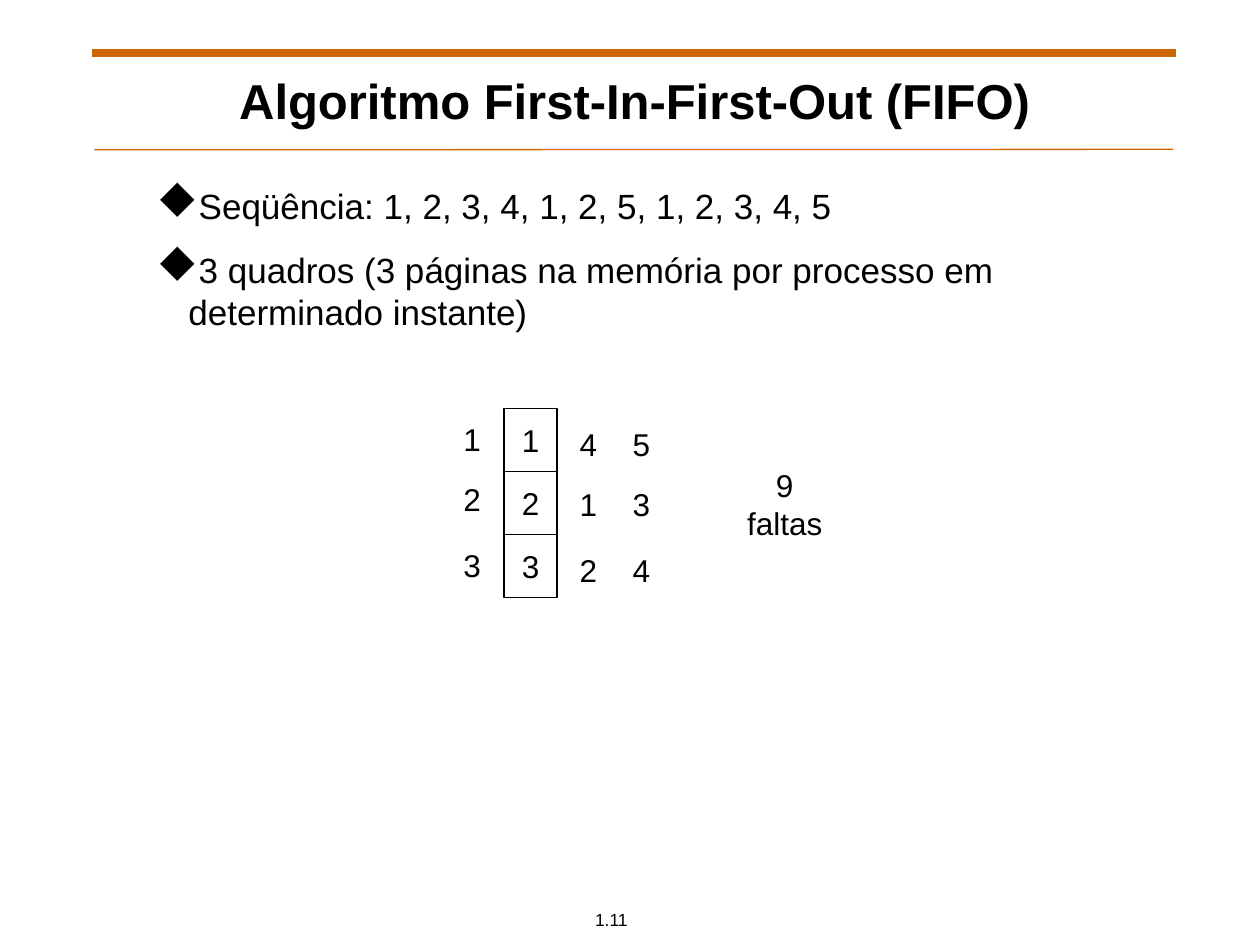
from dataclasses import dataclass

from lxml import etree
from pptx import Presentation
from pptx.dml.color import RGBColor
from pptx.enum.shapes import MSO_CONNECTOR, MSO_SHAPE
from pptx.enum.text import MSO_ANCHOR, MSO_AUTO_SIZE, PP_ALIGN
from pptx.oxml.ns import qn
from pptx.util import Cm, Pt

STRAIGHT = MSO_CONNECTOR.STRAIGHT
RECTANGLE = MSO_SHAPE.RECTANGLE
TOP, MIDDLE = MSO_ANCHOR.TOP, MSO_ANCHOR.MIDDLE
FIXED, GROW = MSO_AUTO_SIZE.NONE, MSO_AUTO_SIZE.SHAPE_TO_FIT_TEXT
LEFT, CENTER = PP_ALIGN.LEFT, PP_ALIGN.CENTER


@dataclass(frozen=True)
class Theme:
    font: str = "Arial"
    bullet_font: str = "Wingdings"
    ink: RGBColor = RGBColor(0, 0, 0)
    paper: RGBColor = RGBColor(255, 255, 255)
    accent: RGBColor = RGBColor(0xCC, 0x66, 0x00)
    title: int = 28
    body: int = 20
    label: int = 18
    footer: int = 10
    outline: float = 0.75


@dataclass(frozen=True)
class Box:
    left: float
    top: float
    width: float
    height: float


@dataclass(frozen=True)
class Rule:
    left: float
    right: float
    start: float
    end: float
    weight: float


@dataclass(frozen=True)
class Label:
    text: str
    box: Box
    size: int
    bold: bool = False
    wrap: bool = False


THEME = Theme()
RULES = (Rule(1.85, 23.7, 1.06, 1.06, 4.5), Rule(1.9, 23.65, 3.02, 3.01, 0.75))
BULLETS = (
    "Seqüência: 1, 2, 3, 4, 1, 2, 5, 1, 2, 3, 4, 5",
    "3 quadros (3 páginas na memória por processo em determinado instante)",
)
BODY_BOX = Box(2.91, 3.6, 19.53, 11.43)
FRAMES = "123"
FRAME_BOX = Box(10.16, 8.23, 1.07, 1.27)
ROW_TOPS = (8.33, 9.55, 10.87)
COLUMNS = ((9.09, 0, "123"), (11.43, 0.1, "412"), (12.5, 0.1, "534"))
LABELS = (
    Label("Algoritmo First-In-First-Out (FIFO)", Box(3.23, 1.37, 19.13, 1.27),
          THEME.title, bold=True, wrap=True),
    Label("9 faltas", Box(14.55, 9.65, 2.54, 1.02), THEME.label),
    Label("1.11", Box(11.13, 18.19, 2.39, 0.69), THEME.footer),
)


def apply_format(target, values: dict) -> None:
    """Set each named attribute on the target."""
    for name, value in values.items():
        setattr(target, name, value)


def lengths(box: Box) -> tuple:
    """Return the position and size of a box as lengths."""
    return Cm(box.left), Cm(box.top), Cm(box.width), Cm(box.height)


def format_paragraph(paragraph, text: str, size: int, bold: bool = False,
                     alignment=CENTER) -> None:
    """Write styled text into a paragraph."""
    apply_format(paragraph, {"text": text, "alignment": alignment})
    apply_format(paragraph.font, {"name": THEME.font, "size": Pt(size), "bold": bold})
    paragraph.font.color.rgb = THEME.ink


def draw_rule(slide, rule: Rule) -> None:
    """Draw a heading rule."""
    line = slide.shapes.add_connector(
        STRAIGHT, Cm(rule.left), Cm(rule.start), Cm(rule.right), Cm(rule.end))
    line.line.color.rgb = THEME.accent
    line.line.width = Pt(rule.weight)
    etree.SubElement(line._element.spPr, qn("a:effectLst"))


def draw_label(slide, label: Label) -> None:
    """Draw one centred piece of text."""
    frame = slide.shapes.add_textbox(*lengths(label.box)).text_frame
    apply_format(frame, {
        "word_wrap": label.wrap,
        "auto_size": FIXED if label.wrap else GROW,
        "vertical_anchor": MIDDLE,
    })
    format_paragraph(frame.paragraphs[0], label.text, label.size, label.bold)


def draw_frame(slide, text: str, box: Box) -> None:
    """Draw one outlined memory frame."""
    shape = slide.shapes.add_shape(RECTANGLE, *lengths(box))
    shape.shadow.inherit = False
    shape.fill.solid()
    shape.fill.fore_color.rgb = THEME.paper
    shape.line.color.rgb = THEME.ink
    shape.line.width = Pt(THEME.outline)
    apply_format(shape.text_frame, {"word_wrap": False, "vertical_anchor": MIDDLE})
    format_paragraph(shape.text_frame.paragraphs[0], text, THEME.label)


def add_bullet(paragraph) -> None:
    """Give a paragraph a diamond bullet with a hanging indent."""
    properties = paragraph._p.get_or_add_pPr()
    indent = Cm(0.64)
    properties.set("marL", str(indent))
    properties.set("indent", str(-indent))
    color = etree.SubElement(properties, qn("a:buClr"))
    etree.SubElement(color, qn("a:srgbClr"), val=str(THEME.ink))
    etree.SubElement(properties, qn("a:buSzPct"), val="120000")
    etree.SubElement(properties, qn("a:buFont"), typeface=THEME.bullet_font, charset="2")
    etree.SubElement(properties, qn("a:buChar"), char="u")


def draw_body(slide) -> None:
    """Draw the bulleted description."""
    frame = slide.shapes.add_textbox(*lengths(BODY_BOX)).text_frame
    apply_format(frame, {"word_wrap": True, "vertical_anchor": TOP})
    for index, text in enumerate(BULLETS):
        paragraph = frame.add_paragraph() if index else frame.paragraphs[0]
        add_bullet(paragraph)
        format_paragraph(paragraph, text, THEME.body, alignment=LEFT)
        if index:
            paragraph.space_before = Pt(12.5)


def draw_memory(slide) -> None:
    """Draw the memory frames and the pages that pass through them."""
    for row, text in enumerate(FRAMES):
        top = FRAME_BOX.top + row * FRAME_BOX.height
        draw_frame(slide, text, Box(FRAME_BOX.left, top, FRAME_BOX.width, FRAME_BOX.height))
    for left, shift, pages in COLUMNS:
        for top, page in zip(ROW_TOPS, pages):
            draw_label(slide, Label(page, Box(left, top + shift, 0.86, 1.02), THEME.label))


def main() -> None:
    """Build and save the presentation."""
    presentation = Presentation()
    apply_format(presentation, {"slide_width": Cm(25.4), "slide_height": Cm(19.05)})
    slide = presentation.slides.add_slide(presentation.slide_layouts[6])
    for rule in RULES:
        draw_rule(slide, rule)
    draw_body(slide)
    draw_memory(slide)
    for label in LABELS:
        draw_label(slide, label)
    presentation.save("out.pptx")


if __name__ == "__main__":
    main()
